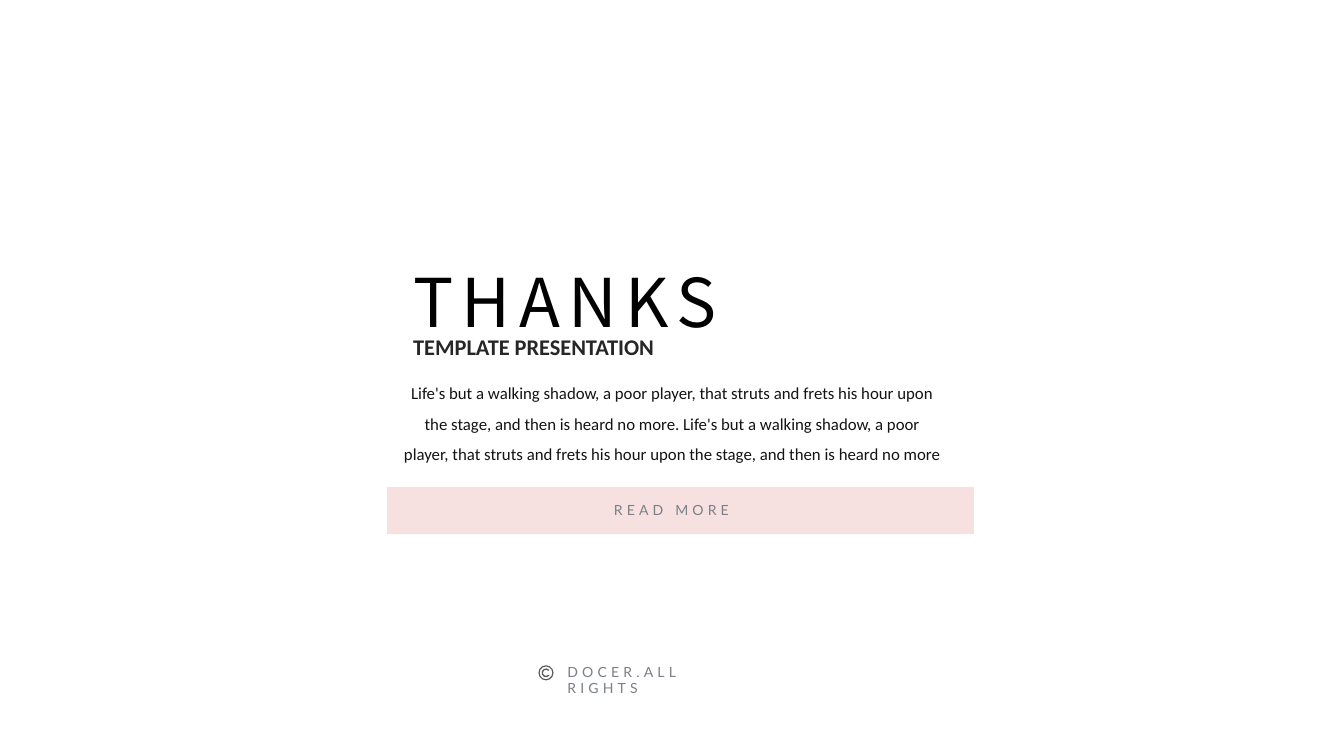
from math import cos, radians, sin

from pptx import Presentation
from pptx.dml.color import RGBColor
from pptx.enum.shapes import MSO_SHAPE
from pptx.enum.text import MSO_ANCHOR, MSO_AUTO_SIZE, PP_ALIGN
from pptx.util import Inches, Pt

COLORS = {
    "panel": "FFFFFF",
    "button": "F6E1E0",
    "title": "000000",
    "subtitle": "262626",
    "body": "131313",
    "label": "7B7F86",
    "symbol": "595959",
}
SENTENCE = ("Life's but a walking shadow, a poor player, that struts and frets "
            "his hour upon the stage, and then is heard no more")


def color(name):
    return RGBColor.from_string(COLORS[name])


def paint(shape, fill):
    shape.shadow.inherit = False
    shape.fill.solid()
    shape.fill.fore_color.rgb = color(fill)
    shape.line.fill.background()


def add_rectangle(slide, left, top, width, height, fill):
    shape = slide.shapes.add_shape(
        MSO_SHAPE.RECTANGLE, Inches(left), Inches(top), Inches(width), Inches(height))
    paint(shape, fill)


def write(shape, text, size, font_name, font_color, alignment=PP_ALIGN.LEFT,
          bold=False, tracking=0, line_spacing=1.0, wrap=True):
    frame = shape.text_frame
    frame.word_wrap = wrap
    frame.auto_size = MSO_AUTO_SIZE.SHAPE_TO_FIT_TEXT
    frame.vertical_anchor = MSO_ANCHOR.TOP
    paragraph = frame.paragraphs[0]
    paragraph.alignment = alignment
    paragraph.line_spacing = line_spacing
    run = paragraph.add_run()
    run.text = text
    run.font.size = Pt(size)
    run.font.name = font_name
    run.font.bold = bold
    run.font.color.rgb = color(font_color)
    properties = run.font._element
    if tracking:
        properties.set("spc", str(tracking * 100))


def add_text(slide, left, top, width, height, *content, **formatting):
    box = slide.shapes.add_textbox(
        Inches(left), Inches(top), Inches(width), Inches(height))
    write(box, *content, **formatting)
    return box


def arc(center_x, center_y, radius, start, end, step):
    direction = step if end > start else -step
    return [(Inches(center_x + radius * cos(radians(angle))),
             Inches(center_y + radius * sin(radians(angle))))
            for angle in range(start, end + direction, direction)]


def add_copyright_symbol(slide, center_x, center_y):
    # Outer ring, its hole, and the open letter C
    contours = [
        arc(center_x, center_y, 0.075, 0, 330, 30),
        arc(center_x, center_y, 0.063, 330, 0, 30),
        arc(center_x, center_y, 0.044, 40, 320, 40)
        + arc(center_x, center_y, 0.03, 320, 40, 40),
    ]
    builder = slide.shapes.build_freeform(*contours[0][0])
    builder.add_line_segments(contours[0][1:], close=True)
    for contour in contours[1:]:
        builder.move_to(*contour[0])
        builder.add_line_segments(contour[1:], close=True)
    paint(builder.convert_to_shape(), "symbol")


def add_title(slide):
    title = slide.shapes.title
    title.left, title.top = Inches(4), Inches(2.57)
    title.width, title.height = Inches(5.35), Inches(0.91)
    write(title, "THANKS", 48, "Noto Sans CJK SC", "title",
          alignment=PP_ALIGN.JUSTIFY, tracking=6, line_spacing=0.98)
    # Bring the title in front of the panel
    title.element.getparent().append(title.element)


def main():
    presentation = Presentation()
    presentation.slide_width = Inches(13.33)
    presentation.slide_height = Inches(7.5)
    slide = presentation.slides.add_slide(presentation.slide_layouts[5])

    # Panel and button
    add_rectangle(slide, 3.49, 2.12, 6.36, 3.36, "panel")
    add_rectangle(slide, 3.84, 4.83, 5.82, 0.47, "button")

    # Heading and quotation
    add_title(slide)
    add_text(slide, 4, 3.26, 5.23, 0.37, "TEMPLATE PRESENTATION", 16, "Calibri",
             "subtitle", alignment=PP_ALIGN.JUSTIFY, bold=True)
    quotation = add_text(slide, 3.99, 3.7, 5.36, 1.18, f"{SENTENCE}. {SENTENCE}", 12,
                         "Calibri", "body", alignment=PP_ALIGN.CENTER, line_spacing=1.5)
    frame = quotation.text_frame
    frame.margin_left = frame.margin_right = frame.margin_top = frame.margin_bottom = 0

    # Button label
    add_text(slide, 5.99, 4.93, 1.35, 0.27, "READ MORE", 10, "Lato", "label",
             tracking=3, wrap=False)

    # Copyright line
    add_copyright_symbol(slide, 5.415, 6.675)
    add_text(slide, 5.53, 6.53, 1.96, 0.27, "DOCER.ALL RIGHTS", 10, "Lato", "label",
             tracking=3)

    presentation.save("out.pptx")


if __name__ == "__main__":
    main()
